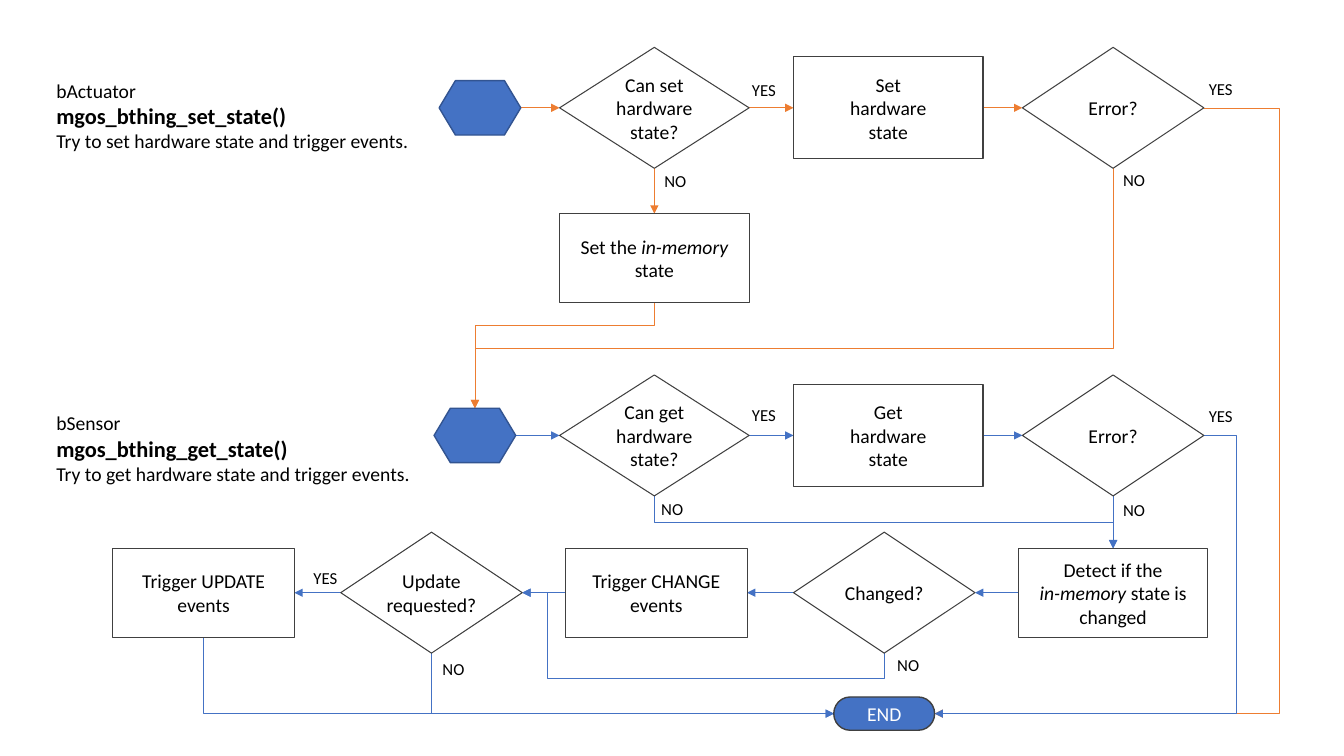
from typing import Any, NamedTuple

import lxml.etree
import pptx
import pptx.dml.color
import pptx.enum.shapes
import pptx.enum.text
import pptx.util
from pptx.util import Inches

RGBColor = pptx.dml.color.RGBColor
Shape = pptx.enum.shapes.MSO_SHAPE
Link = pptx.enum.shapes.MSO_CONNECTOR
Align = pptx.enum.text.PP_ALIGN
Anchor = pptx.enum.text.MSO_ANCHOR
Fit = pptx.enum.text.MSO_AUTO_SIZE

BLACK = RGBColor(0x00, 0x00, 0x00)
WHITE = RGBColor(0xFF, 0xFF, 0xFF)
GRAY = RGBColor(0x40, 0x40, 0x40)
BLUE = RGBColor(0x44, 0x72, 0xC4)
NAVY = RGBColor(0x32, 0x54, 0x91)
ORANGE = RGBColor(0xED, 0x7D, 0x31)
SPACE = "http://schemas.openxmlformats.org/drawingml/2006/main"

SET, GET, LOW, END = 1.07, 4.32, 5.88, 7.08
ASK, ACT, FAIL = 6.49, 8.81, 11.04
UPDATE, WANT, CHANGE, DIFF = 2.02, 4.28, 6.51, 8.77
START, BASE = 4.71, 8.77
WIDE, SLIM = 1.88, 1.8
TALL, BOX, LOWBOX = 1.2, 1.01, 0.88


class Node(NamedTuple):
    kind: Any
    x: float
    y: float
    width: float
    height: float
    text: str = ""
    fill: RGBColor | None = None
    edge: RGBColor = GRAY
    ink: RGBColor = BLACK


class Arrow(NamedTuple):
    start: tuple[float, float]
    end: tuple[float, float]
    color: RGBColor = BLUE
    bends: int = 0
    down: bool = False
    stops: tuple[float, ...] = ()


class Label(NamedTuple):
    text: str
    left: float
    top: float


def apply(target: Any, values: dict[str, Any]) -> None:
    for name, value in values.items():
        setattr(target, name, value)


def add_run(para: Any, text: str, size: int, ink: RGBColor = BLACK, **extra: Any) -> None:
    run = para.add_run()
    run.text = text
    apply(run.font, {"name": "Calibri", "size": pptx.util.Pt(size), **extra})
    run.font.color.rgb = ink


def add_node(shapes: Any, node: Node) -> None:
    shape = shapes.add_shape(
        node.kind, Inches(node.x - node.width / 2), Inches(node.y - node.height / 2),
        Inches(node.width), Inches(node.height))
    shape.shadow.inherit = False
    if node.fill is None:
        shape.fill.background()
    else:
        shape.fill.solid()
        shape.fill.fore_color.rgb = node.fill
    shape.line.color.rgb = node.edge
    shape.line.width = pptx.util.Pt(1 if node.fill else 0.75)
    frame = shape.text_frame
    apply(frame, {"word_wrap": True, "vertical_anchor": Anchor.MIDDLE})
    if node.kind == Shape.DIAMOND:
        apply(frame, dict.fromkeys(
            ("margin_left", "margin_right", "margin_top", "margin_bottom"), 0))
    para = frame.paragraphs[0]
    para.alignment = Align.CENTER
    for row, line in enumerate(node.text.split("\n") if node.text else []):
        if row:
            para.add_line_break()
        for part, text in enumerate(line.split("*")):
            if text:
                add_run(para, text, 14, node.ink, italic=part % 2 == 1)


def add_arrow(shapes: Any, arrow: Arrow) -> None:
    (x, y), (right, low) = arrow.start, arrow.end
    wide, high = right - x, low - y
    turn = 0
    if arrow.down:
        turn = 90 if wide < 0 else 270
        mid, level = x + wide / 2, y + high / 2
        span, rise = (high if wide < 0 else -high), abs(wide)
        x, right = mid - span / 2, mid + span / 2
        y, low = level - rise / 2, level + rise / 2
    kind = Link.ELBOW if arrow.bends else Link.STRAIGHT
    line = shapes.add_connector(kind, Inches(x), Inches(y), Inches(right), Inches(low))
    line.line.color.rgb = arrow.color
    line.line.width = pptx.util.Pt(0.5)
    props = line._element.spPr
    if turn:
        props.find(f"{{{SPACE}}}xfrm").set("rot", str(turn * 60000))
    if arrow.bends:
        geom = props.find(f"{{{SPACE}}}prstGeom")
        geom.set("prst", f"bentConnector{arrow.bends}")
        guides = geom.find(f"{{{SPACE}}}avLst")
        for rank, stop in enumerate(arrow.stops, 1):
            lxml.etree.SubElement(guides, f"{{{SPACE}}}gd", name=f"adj{rank}",
                                  fmla=f"val {round(stop * 100000)}")
    lxml.etree.SubElement(props.find(f"{{{SPACE}}}ln"), f"{{{SPACE}}}tailEnd", type="triangle")
    lxml.etree.SubElement(props, f"{{{SPACE}}}effectLst")


def add_box(shapes: Any, left: float, top: float, width: float, height: float) -> Any:
    frame = shapes.add_textbox(
        Inches(left), Inches(top), Inches(width), Inches(height)).text_frame
    apply(frame, {"word_wrap": False, "auto_size": Fit.SHAPE_TO_FIT_TEXT})
    return frame


def add_label(shapes: Any, label: Label) -> None:
    frame = add_box(shapes, label.left, label.top, 0.48, 0.3)
    frame.margin_right = 0
    add_run(frame.paragraphs[0], label.text, 12)


def add_title(shapes: Any, top: float, thing: str, verb: str) -> None:
    frame = add_box(shapes, 0.46, top, 3.75, 0.84)
    para = frame.paragraphs[0]
    add_run(para, thing, 14)
    para.add_line_break()
    add_run(para, f"mgos_bthing_{verb}_state()", 16, bold=True)
    add_run(frame.add_paragraph(), f"Try to {verb} hardware state and trigger events.", 14)


def flow(verb: str, y: float, x: float, color: RGBColor) -> tuple[list[Node], list[Arrow]]:
    nodes = [
        Node(Shape.DIAMOND, ASK, y, WIDE, TALL, f"Can {verb} hardware state?"),
        Node(Shape.RECTANGLE, ACT, y, WIDE, BOX, f"{verb.title()}\nhardware\nstate"),
        Node(Shape.DIAMOND, FAIL, y, SLIM, TALL, "Error?"),
        Node(Shape.FLOWCHART_PREPARATION, x, y, 0.81, 0.54, fill=BLUE, edge=NAVY),
    ]
    order = [nodes[-1], *nodes[:-1]]
    arrows = [Arrow((a.x + a.width / 2, y), (b.x - b.width / 2, y), color)
              for a, b in zip(order, order[1:])]
    return nodes, arrows


set_nodes, set_links = flow("set", SET, 4.76, ORANGE)
get_nodes, get_links = flow("get", GET, START, BLUE)

chain = [
    Node(Shape.RECTANGLE, FAIL, LOW, WIDE, LOWBOX,
         "Detect if the\n*in-memory* state is changed"),
    Node(Shape.DIAMOND, DIFF, LOW, SLIM, TALL, "Changed?"),
    Node(Shape.RECTANGLE, CHANGE, LOW, SLIM, LOWBOX, "Trigger CHANGE events"),
    Node(Shape.DIAMOND, WANT, LOW, SLIM, TALL, "Update requested?"),
    Node(Shape.RECTANGLE, UPDATE, LOW, SLIM, LOWBOX, "Trigger UPDATE events"),
]
chain_links = [Arrow((a.x - a.width / 2, LOW), (b.x + b.width / 2, LOW))
               for a, b in zip(chain, chain[1:])]

NODES = [
    *get_nodes, *chain, *set_nodes,
    Node(Shape.RECTANGLE, ASK, 2.56, WIDE, LOWBOX, "Set the *in-memory* state"),
    Node(Shape.FLOWCHART_TERMINATOR, BASE, END, 1, 0.33, "END", BLUE, GRAY, WHITE),
]
ARROWS = [
    *get_links, *chain_links, *set_links,
    Arrow((FAIL, 4.92), (FAIL, 5.44)),
    Arrow((ASK, 1.67), (ASK, 2.12), ORANGE),
    Arrow((WANT, 6.48), (8.27, END), BLUE, 2, True),
    Arrow((UPDATE, 6.32), (8.27, END), BLUE, 2, True),
    Arrow((ASK, 4.92), (FAIL, 5.44), BLUE, 3, True, (0.5,)),
    Arrow((DIFF, 6.48), (5.18, LOW), BLUE, 4, True, (-0.42, 0.93)),
    Arrow((FAIL, 1.67), (START, 4.05), ORANGE, 3, True, (0.75,)),
    Arrow((ASK, 3), (START, 4.05), ORANGE, 3, True, (0.22,)),
    Arrow((11.94, SET), (9.27, END), ORANGE, 3, False, (-0.28,)),
    Arrow((11.94, GET), (9.27, END), BLUE, 3, False, (-0.12,)),
]
LABELS = [
    Label("YES", 7.36, 0.74), Label("YES", 11.89, 0.73),
    Label("YES", 7.36, 3.97), Label("YES", 11.89, 3.98), Label("YES", 3.01, 5.58),
    Label("NO", 6.49, 1.64), Label("NO", 11.04, 1.63), Label("NO", 6.46, 4.9),
    Label("NO", 11.04, 4.91), Label("NO", 8.8, 6.45), Label("NO", 4.29, 6.49),
]

deck = pptx.Presentation()
apply(deck, {"slide_width": Inches(13.33), "slide_height": Inches(7.5)})
shapes = deck.slides.add_slide(deck.slide_layouts[6]).shapes
for arrow in ARROWS:
    add_arrow(shapes, arrow)
for node in NODES:
    add_node(shapes, node)
for label in LABELS:
    add_label(shapes, label)
add_title(shapes, 0.73, "bActuator", "set")
add_title(shapes, 4.03, "bSensor", "get")
deck.save("out.pptx")
